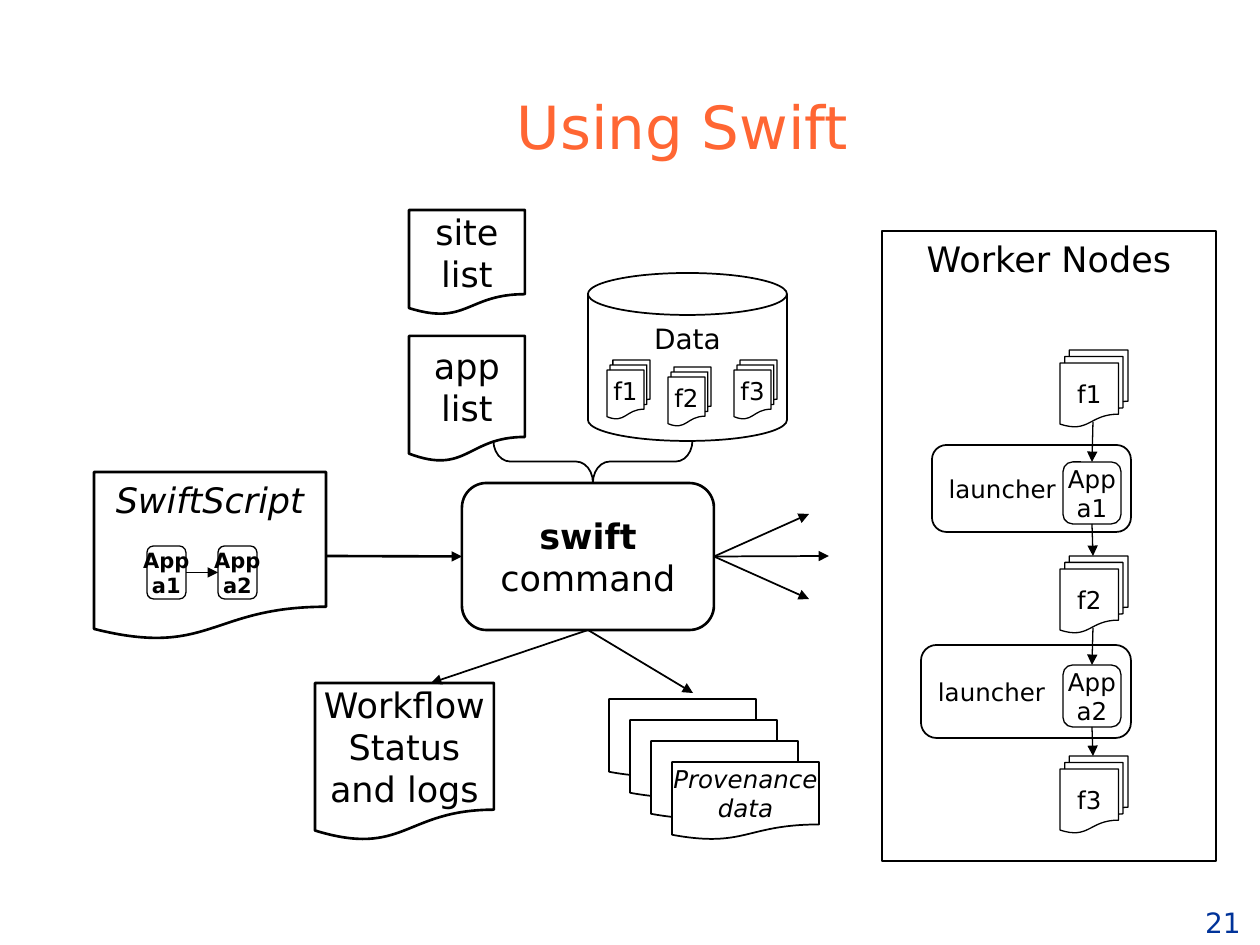
import lxml.etree
import pptx
import pptx.dml.color
import pptx.enum.shapes
import pptx.enum.text
import pptx.oxml.ns
import pptx.util

PX = 914400 / 126
FONT = "DejaVu Sans"
BLACK, WHITE, ORANGE, BLUE = "000000", "FFFFFF", "FF6633", "003399"
KIND = pptx.enum.shapes.MSO_SHAPE
ALIGN = pptx.enum.text.PP_ALIGN
ANCHOR = pptx.enum.text.MSO_ANCHOR
TOP, LEFT, BOTTOM, RIGHT = range(4)


def px(*lengths):
    return [pptx.util.Emu(round(length * PX)) for length in lengths]


def color(value):
    return pptx.dml.color.RGBColor.from_string(value)


def sub_element(parent, tag, **attributes):
    lxml.etree.SubElement(parent, pptx.oxml.ns.qn(tag), attributes)


def write(shape, text, size, hue=BLACK, anchor=ANCHOR.MIDDLE, align=ALIGN.CENTER,
          wrap=False, bold=False, italic=False):
    frame = shape.text_frame
    frame.text = text
    frame.word_wrap = wrap
    frame.vertical_anchor = anchor
    for paragraph in frame.paragraphs:
        paragraph.alignment = align
        font = paragraph.font
        font.name, font.size = FONT, pptx.util.Pt(size)
        font.bold, font.italic = bold, italic
        font.color.rgb = color(hue)


def add_label(slide, box, text, size, hue, wrap=False):
    shape = slide.shapes.add_textbox(*px(*box))
    write(shape, text, size, hue, ANCHOR.BOTTOM, wrap=wrap)


def add_box(slide, kind, box, weight, fill=WHITE, opacity=100):
    shape = slide.shapes.add_shape(kind, *px(*box))
    shape.shadow.inherit = False
    shape.line.color.rgb = color(BLACK)
    shape.line.width = pptx.util.Pt(weight)
    if fill is None:
        shape.fill.background()
        return shape
    shape.fill.solid()
    shape.fill.fore_color.rgb = color(fill)
    if opacity < 100:
        solid = shape._element.spPr.find(pptx.oxml.ns.qn("a:solidFill"))
        sub_element(solid[0], "a:alpha", val=str(opacity * 1000))
    return shape


def add_files(slide, box, text, anchor=ANCHOR.MIDDLE):
    shape = add_box(slide, KIND.FLOWCHART_MULTIDOCUMENT, box, 0.75, opacity=25)
    write(shape, text, 14, anchor=anchor)


def add_app(slide, box, text, size, bold=False):
    shape = add_box(slide, KIND.FLOWCHART_ALTERNATE_PROCESS, box, 0.75, opacity=50)
    write(shape, text, size, bold=bold)
    return shape


def add_document(slide, box, text, anchor=ANCHOR.MIDDLE, italic=False):
    shape = add_box(slide, KIND.FLOWCHART_DOCUMENT, box, 1.5)
    write(shape, text, 20, anchor=anchor, italic=italic)
    return shape


def add_arrow(slide, start, end, weight, begin=None, finish=None):
    """begin and finish are (shape, side) pairs to join the ends to."""
    arrow = slide.shapes.add_connector(
        pptx.enum.shapes.MSO_CONNECTOR.STRAIGHT, *px(*start, *end))
    arrow.line.color.rgb = color(BLACK)
    arrow.line.width = pptx.util.Pt(weight)
    properties = arrow._element.spPr
    sub_element(properties.find(pptx.oxml.ns.qn("a:ln")), "a:tailEnd", type="triangle")
    sub_element(properties, "a:effectLst")
    if begin:
        arrow.begin_connect(*begin)
    if finish:
        arrow.end_connect(*finish)


def add_worker_nodes(slide):
    # Launchers, with the files and apps chained from top to bottom
    for box in ((932, 445, 199, 87), (921, 645, 210, 93)):
        launcher = add_box(slide, KIND.ROUNDED_RECTANGLE, box, 1)
        write(launcher, "launcher", 14, align=ALIGN.LEFT)
    file_tops = (350, 556, 756)
    for number, top in enumerate(file_tops, 1):
        add_files(slide, (1060, top, 68, 77), f"f{number}")
    for number, top in enumerate((462, 665), 1):
        app = add_app(slide, (1063, top, 58, 62), f"App\va{number}", 14)
        add_arrow(slide, (1093, file_tops[number - 1] + 72), (1092, top), 0.75,
                  finish=(app, TOP))
        add_arrow(slide, (1092, top + 62), (1093, file_tops[number]), 0.75,
                  begin=(app, BOTTOM))
    frame = add_box(slide, KIND.RECTANGLE, (882, 231, 334, 630), 1, fill=None)
    write(frame, "Worker Nodes", 20, anchor=ANCHOR.TOP)


def add_script(slide):
    script = add_document(slide, (94, 472, 232, 168), "SwiftScript", ANCHOR.TOP, italic=True)
    first, second = [
        add_app(slide, (left, 546, 39, 53), f"App\va{number}", 12, bold=True)
        for number, left in enumerate((147, 218), 1)]
    add_arrow(slide, (186, 572), (218, 572), 0.75, (first, RIGHT), (second, LEFT))
    return script


def add_data_store(slide):
    store = add_box(slide, KIND.CAN, (588, 273, 199, 168), 1)
    store.adjustments[0] = 0.25
    write(store, "Data", 16, anchor=ANCHOR.TOP)
    for number, (left, top) in enumerate(((607, 360), (668, 367), (734, 360)), 1):
        add_files(slide, (left, top, 43, 59), f"f{number}", ANCHOR.TOP)


def add_provenance(slide):
    for step in range(4):
        sheet = add_box(slide, KIND.FLOWCHART_DOCUMENT,
                        (609 + 21 * step, 699 + 21 * step, 147, 78), 1)
    write(sheet, "Provenance\ndata", 14, italic=True)


def main():
    presentation = pptx.Presentation()
    presentation.slide_width, presentation.slide_height = px(1260, 945)
    slide = presentation.slides.add_slide(presentation.slide_layouts[6])

    # Title and slide number
    add_label(slide, (147, 63, 1071, 105), "Using Swift", 34, ORANGE, wrap=True)
    add_label(slide, (1186, 895, 74, 50), "21", 16, BLUE)

    # Central command
    add_document(slide, (315, 683, 179, 158), "Workflow\nStatus\nand logs")
    command = add_box(slide, KIND.ROUNDED_RECTANGLE, (462, 483, 252, 147), 1.5)
    write(command, "swift\ncommand", 20)
    command.text_frame.paragraphs[0].font.bold = True

    add_worker_nodes(slide)

    # Inputs
    script = add_script(slide)
    add_arrow(slide, (326, 556), (462, 556), 1.5, (script, RIGHT), (command, LEFT))
    add_data_store(slide)
    add_document(slide, (409, 210, 116, 105), "site\vlist")
    add_document(slide, (409, 336, 116, 126), "app\vlist")
    brace = add_box(slide, KIND.LEFT_BRACE, (572, 362, 42, 199), 1, fill=None)
    brace.rotation = 270
    brace.adjustments[0] = 0.4

    # Outputs
    add_provenance(slide)
    for end in ((431, 683), (693, 693)):
        add_arrow(slide, (588, 630), end, 1, begin=(command, BOTTOM))
    for end in ((829, 556), (809, 514), (809, 599)):
        add_arrow(slide, (714, 556), end, 1, begin=(command, RIGHT))

    presentation.save("out.pptx")


if __name__ == "__main__":
    main()
